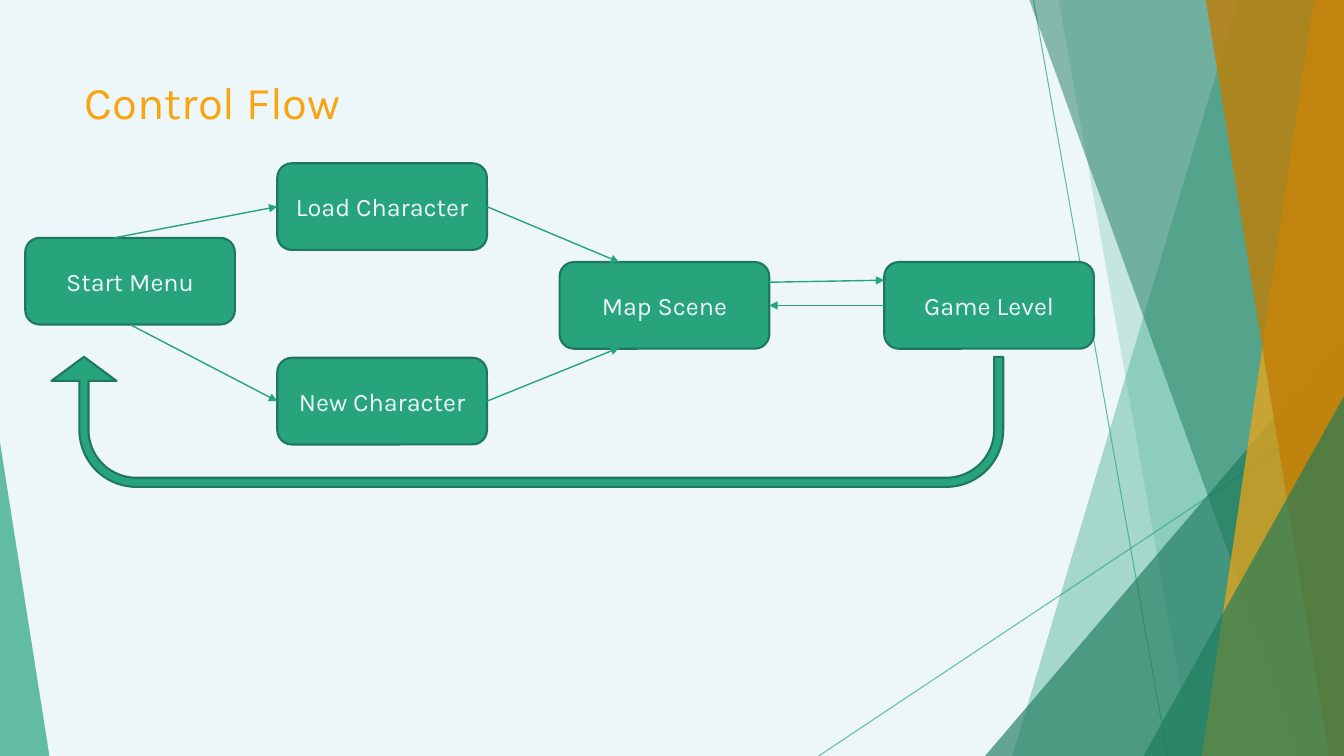
from lxml.etree import SubElement
from pptx import Presentation
from pptx.dml.color import RGBColor
from pptx.enum.shapes import MSO_CONNECTOR, MSO_SHAPE
from pptx.enum.text import MSO_ANCHOR, MSO_AUTO_SIZE, PP_ALIGN
from pptx.oxml.ns import qn
from pptx.util import Inches, Pt

FONT = "Karla"
PALE, GREEN, DARK_GREEN, OUTLINE = "EDF6F9", "28A47C", "1E7B5D", "1E795C"
ORANGE, BROWN = "F7A511", "C07E06"
WIDTH, HEIGHT = 13.33, 7.5
BOX_WIDTH, BOX_HEIGHT = 2.08, 0.86
TOP, LEFT, BOTTOM, RIGHT = range(4)


def paint(color_holder, color, opacity=100):
    """Make a fill solid in the given colour and opacity in percent."""
    color_holder.solid()
    color_holder.fore_color.rgb = RGBColor.from_string(color)
    if opacity < 100:
        solid = color_holder.fore_color._xFill
        SubElement(solid[0], qn("a:alpha"), val=str(opacity * 1000))


def outline(shape, color, weight):
    paint(shape.line.fill, color)
    shape.line.width = Pt(weight)


def write(frame, text, size, color, align):
    frame.word_wrap = True
    frame.vertical_anchor = MSO_ANCHOR.MIDDLE
    paragraph = frame.paragraphs[0]
    paragraph.alignment = align
    run = paragraph.add_run()
    run.text = text
    run.font.name = FONT
    run.font.size = Pt(size)
    paint(run.font.fill, color)


def add_facet(slide, corners, color, opacity):
    """Add a see-through polygon of the side decoration."""
    points = [(Inches(x), Inches(y)) for x, y in corners]
    builder = slide.shapes.build_freeform(*points[0], scale=1.0)
    builder.add_line_segments(points[1:], close=True)
    facet = builder.convert_to_shape()
    facet.shadow.inherit = False
    paint(facet.fill, color, opacity)
    facet.line.fill.background()


def add_line(slide, start, end, weight, opacity=100):
    line = slide.shapes.add_connector(
        MSO_CONNECTOR.STRAIGHT, *(Inches(value) for value in (*start, *end)))
    paint(line.line.fill, GREEN, opacity)
    line.line.width = Pt(weight)
    SubElement(line._element.spPr, qn("a:effectLst"))
    return line


def add_arrow(slide, start, end):
    """Join two ends, each a point or a (box, side) pair."""
    joined = [not isinstance(spot[0], (int, float)) for spot in (start, end)]
    arrow = add_line(slide, (0, 0) if joined[0] else start,
                     (0, 0) if joined[1] else end, 1)
    if joined[0]:
        arrow.begin_connect(*start)
    if joined[1]:
        arrow.end_connect(*end)
    SubElement(arrow.line._get_or_add_ln(), qn("a:tailEnd"), type="triangle")


def add_state(slide, label, left, top):
    box = slide.shapes.add_shape(
        MSO_SHAPE.ROUNDED_RECTANGLE, Inches(left), Inches(top),
        Inches(BOX_WIDTH), Inches(BOX_HEIGHT))
    box.shadow.inherit = False
    paint(box.fill, GREEN)
    outline(box, OUTLINE, 1.5)
    write(box.text_frame, label, 18, PALE, PP_ALIGN.CENTER)
    return box


def add_return_arrow(slide):
    arrow = slide.shapes.add_shape(
        MSO_SHAPE.U_TURN_ARROW, Inches(0.51), Inches(3.54), Inches(9.44), Inches(1.29))
    arrow.rotation = 180
    for index, value in enumerate((0.07, 0.25, 0.185, 0.438, 1)):
        arrow.adjustments[index] = value
    arrow.shadow.inherit = False
    paint(arrow.fill, GREEN)
    outline(arrow, OUTLINE, 1.5)


def add_decoration(slide):
    add_line(slide, (10.25, 0), (11.58, HEIGHT), 0.75, 70)
    add_line(slide, (WIDTH, 4.03), (8.12, HEIGHT), 0.75, 70)

    def band(top_left, bottom_left):
        return [(top_left, 0), (WIDTH, 0), (WIDTH, HEIGHT), (bottom_left, HEIGHT)]

    def corner(left, top):
        return [(WIDTH, top), (WIDTH, HEIGHT), (left, HEIGHT)]

    for corners, color, opacity in (
        (band(12.28, 10.04), GREEN, 36),
        (band(10.5, 11.83), GREEN, 20),
        (corner(9.77, 3.33), DARK_GREEN, 66),
        (band(10.21, 12.91), DARK_GREEN, 50),
        (band(13.03, 11.92), ORANGE, 70),
        (band(11.96, 13.18), BROWN, 80),
        (corner(11.34, 3.93), DARK_GREEN, 66),
        ([(0, 4.39), (0.49, HEIGHT), (0, HEIGHT)], GREEN, 70),
    ):
        add_facet(slide, corners, color, opacity)


def add_title(slide, text):
    title = slide.shapes.title
    title.left, title.top = Inches(0.74), Inches(0.67)
    title.width, title.height = Inches(9.4), Inches(0.68)
    title.text_frame.auto_size = MSO_AUTO_SIZE.NONE
    write(title.text_frame, text, 32.4, ORANGE, PP_ALIGN.LEFT)


def add_flow(slide):
    start_menu = add_state(slide, "Start Menu", 0.25, 2.36)
    new_character = add_state(slide, "New Character", 2.75, 3.55)
    load_character = add_state(slide, "Load Character", 2.75, 1.62)
    map_scene = add_state(slide, "Map Scene", 5.55, 2.6)
    game_level = add_state(slide, "Game Level", 8.77, 2.6)
    for start, end in (
        ((1.13, 2.36), (load_character, LEFT)),
        ((start_menu, BOTTOM), (new_character, LEFT)),
        ((load_character, RIGHT), (6.14, 2.6)),
        ((new_character, RIGHT), (6.14, 3.45)),
        ((7.62, 2.8), (8.77, 2.78)),
        ((game_level, LEFT), (map_scene, RIGHT)),
    ):
        add_arrow(slide, start, end)
    add_return_arrow(slide)


def main():
    deck = Presentation()
    deck.slide_width, deck.slide_height = Inches(WIDTH), Inches(HEIGHT)
    slide = deck.slides.add_slide(deck.slide_layouts[5])
    paint(slide.background.fill, PALE)
    add_decoration(slide)
    add_title(slide, "Control Flow")
    add_flow(slide)
    deck.save("out.pptx")


if __name__ == "__main__":
    main()
